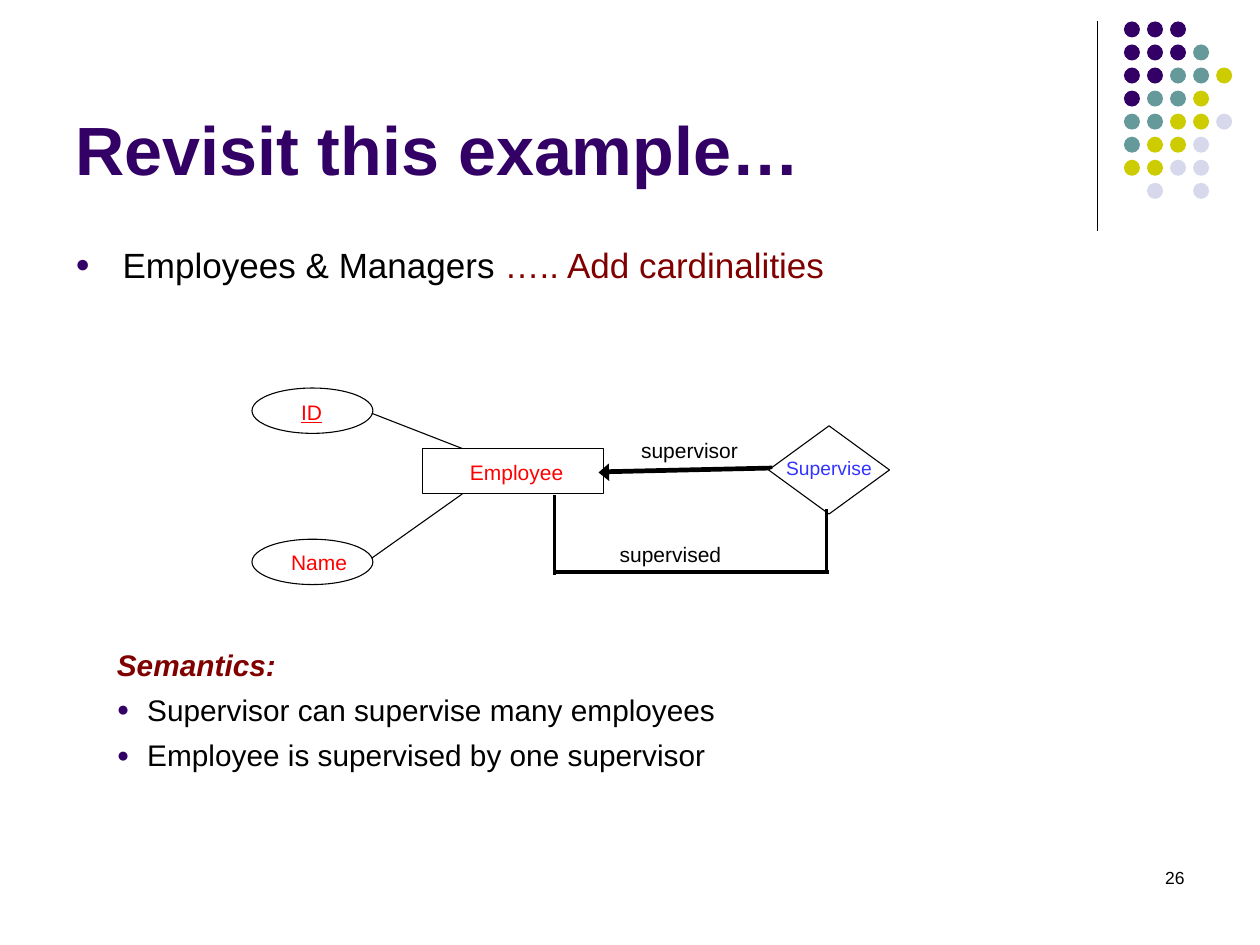
from lxml import etree
from pptx import Presentation
from pptx import util as u
from pptx.dml.color import RGBColor
from pptx.enum import shapes, text
from pptx.oxml import ns

BLACK = RGBColor(0x00, 0x00, 0x00)
PURPLE = RGBColor(0x33, 0x00, 0x66)
TEAL = RGBColor(0x66, 0x99, 0x99)
LIME = RGBColor(0xCC, 0xCC, 0x00)
LAVENDER = RGBColor(0xD8, 0xD8, 0xEC)
MAROON = RGBColor(0x80, 0x00, 0x00)
RED = RGBColor(0xFF, 0x00, 0x00)
BLUE = RGBColor(0x33, 0x33, 0xFF)

# The slide is a grid of 100 columns by 75 rows of square cells
CELL = u.Inches(0.1)

deck = Presentation()
deck.slide_width, deck.slide_height = 100 * CELL, 75 * CELL
page = deck.slides.add_slide(deck.slide_layouts[6])


def write(place, paragraphs, size, indent=0, wrap=True, inset=(1, 0.5)):
    """Add a text box; a paragraph is (bulleted, runs), a run (words, colour, styles)."""
    box = page.shapes.add_textbox(*(int(n * CELL) for n in place))
    frame = box.text_frame
    frame.word_wrap = wrap
    if not wrap:
        frame.auto_size = text.MSO_AUTO_SIZE.SHAPE_TO_FIT_TEXT
    frame.margin_left = frame.margin_right = int(inset[0] * CELL)
    frame.margin_top = frame.margin_bottom = int(inset[1] * CELL)
    for index, (bulleted, runs) in enumerate(paragraphs):
        para = frame.paragraphs[0] if index == 0 else frame.add_paragraph()
        if index:
            para.space_before = u.Pt(5.5)
        if bulleted:
            props = para._p.get_or_add_pPr()
            props.set("marL", str(int(indent * CELL)))
            props.set("indent", str(int(-indent * CELL)))
            colour = etree.SubElement(props, ns.qn("a:buClr"))
            etree.SubElement(colour, ns.qn("a:srgbClr"), val=str(PURPLE))
            etree.SubElement(props, ns.qn("a:buSzPct"), val="70000")
            etree.SubElement(props, ns.qn("a:buFont"), typeface="Arial")
            etree.SubElement(props, ns.qn("a:buChar"), char="●")
        for words, colour, styles in runs:
            span = para.add_run()
            span.text = words
            span.font.name, span.font.size = "Arial", u.Pt(size)
            span.font.color.rgb = colour
            for style in styles:
                setattr(span.font, style, True)
    return frame


def draw_line(start, end, width):
    line = page.shapes.add_connector(
        shapes.MSO_CONNECTOR.STRAIGHT, *(int(n * CELL) for n in start + end))
    line.line.color.rgb = BLACK
    line.line.width = u.Pt(width)
    etree.SubElement(line._element.spPr, ns.qn("a:effectLst"))
    return line


# Corner ornament: a rule and a grid of dots
draw_line((87.1, 1.7), (87.1, 18.3), 0.75)
DOT_COLOURS = {"P": PURPLE, "T": TEAL, "L": LIME, "V": LAVENDER}
DOT_ROWS = ["PPP", "PPPT", "PPTTL", "PTTL", "TTLLV", "TLLV", "LLVV", " V V"]
DOT_PITCH, DOT_SIZE = 1.83, 1.27
for row, letters in enumerate(DOT_ROWS):
    for column, letter in enumerate(letters):
        if letter in DOT_COLOURS:
            dot = page.shapes.add_shape(
                shapes.MSO_SHAPE.OVAL,
                int((89.2 + column * DOT_PITCH) * CELL),
                int((1.7 + row * DOT_PITCH) * CELL),
                int(DOT_SIZE * CELL), int(DOT_SIZE * CELL))
            dot.shadow.inherit = False
            dot.fill.solid()
            dot.fill.fore_color.rgb = DOT_COLOURS[letter]
            dot.line.fill.background()

# Title, page number and opening bullet
title = write((5, 1.3, 82.5, 14.2),
              [(False, [("Revisit this example…", PURPLE, ["bold"])])], 39)
title.vertical_anchor = text.MSO_ANCHOR.BOTTOM
number = write((71.7, 68.3, 23.3, 5), [(False, [("26", BLACK, [])])], 10)
number.paragraphs[0].alignment = text.PP_ALIGN.RIGHT
write((5, 18.8, 75, 4.5),
      [(True, [("Employees & Managers ", BLACK, []),
               ("….. Add cardinalities", MAROON, [])])], 20, indent=3.75)

# Outlines of the entity, its attributes and the relationship
for kind, place in [
    (shapes.MSO_SHAPE.RECTANGLE, (33.5, 35.6, 14.4, 3.6)),
    (shapes.MSO_SHAPE.OVAL, (20, 30.8, 9.6, 3.6)),
    (shapes.MSO_SHAPE.OVAL, (20, 42.8, 9.6, 3.6)),
    (shapes.MSO_SHAPE.DIAMOND, (61, 33.8, 9.6, 7)),
]:
    outline = page.shapes.add_shape(kind, *(int(n * CELL) for n in place))
    outline.shadow.inherit = False
    outline.fill.background()
    outline.line.color.rgb = BLACK
    outline.line.width = u.Pt(0.62)

# Diagram labels
for words, place, size, colour, styles, inset in [
    ("Employee", (37.3, 36.5, 7.5, 2), 12, RED, [], (0, 0)),
    ("ID", (23.9, 31.7, 1.7, 2), 12, RED, ["underline"], (0, 0)),
    ("Name", (23.1, 43.6, 4.5, 2), 12, RED, [], (0, 0)),
    ("Supervise", (61.4, 35.7, 8.8, 2.9), 11, BLUE, [], (1, 0.5)),
    ("supervisor", (49.9, 34.2, 9.7, 3), 12, BLACK, [], (1, 0.5)),
    ("supervised", (48.2, 42.5, 10.1, 3), 12, BLACK, [], (1, 0.5)),
]:
    write(place, [(False, [(words, colour, styles)])], size, wrap=False, inset=inset)

# Thin attribute links, thick relationship links
for start, end, width in [
    ((36.7, 35.6), (29.5, 32.8), 0.62),
    ((36.7, 39.2), (29.5, 44.3), 0.62),
    ((47.8, 37.4), (61.3, 37.1), 2),
    ((44, 45.4), (65.8, 45.4), 2),
    ((65.6, 45.4), (65.6, 40.4), 2),
    ((44, 45.6), (44, 39.3), 2),
]:
    draw_line(start, end, width)
arrow = draw_line((47.5, 37.5), (61, 37.2), 2)
etree.SubElement(arrow.line._get_or_add_ln(), ns.qn("a:headEnd"),
                 type="triangle", w="lg", len="med")

# Meaning of the diagram
write((8.3, 50.8, 75, 10.8), [
    (False, [("Semantics:", MAROON, ["bold", "italic"])]),
    (True, [("Supervisor can supervise many employees", BLACK, [])]),
    (True, [("Employee is supervised by one supervisor", BLACK, [])]),
], 17, indent=2.4)

deck.save("out.pptx")
